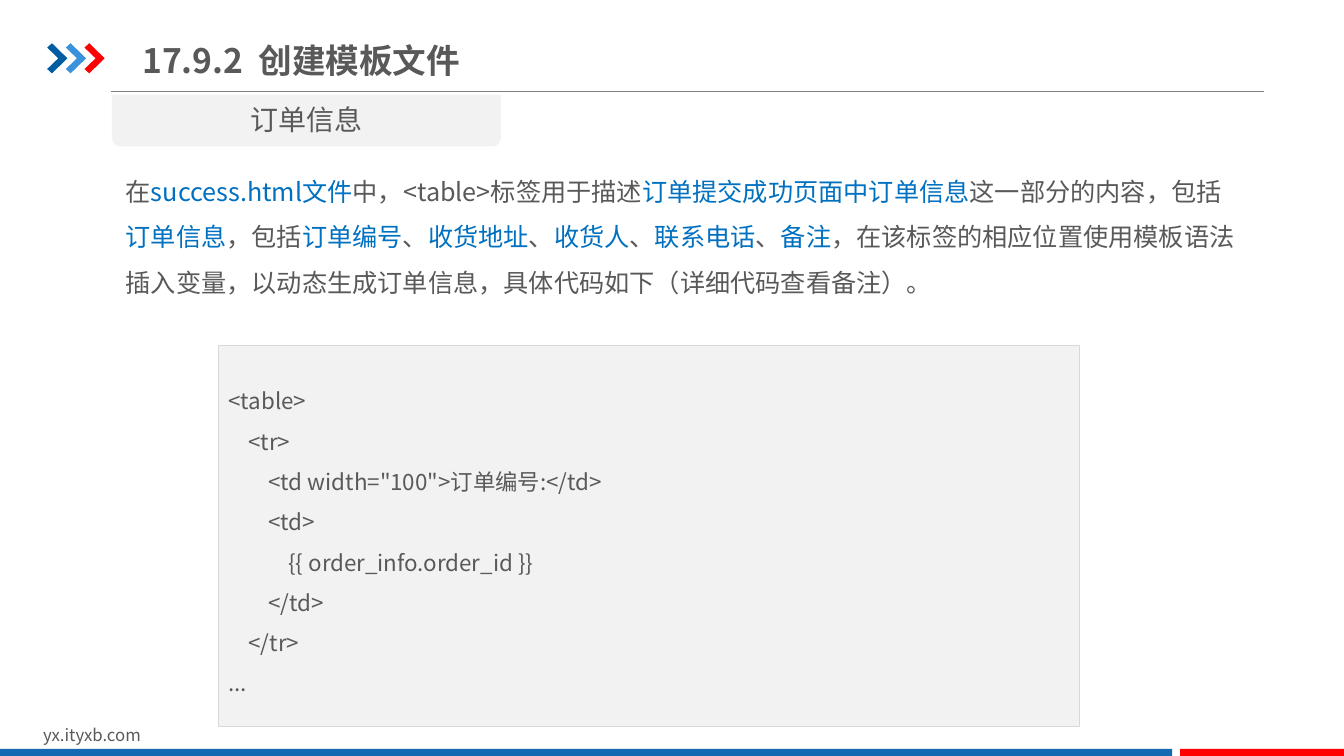
import pptx
import pptx.dml.color
import pptx.enum.shapes
import pptx.enum.text
import pptx.oxml
import pptx.oxml.ns
import pptx.util

Cm = pptx.util.Cm
Pt = pptx.util.Pt
RGBColor = pptx.dml.color.RGBColor
Kind = pptx.enum.shapes.MSO_SHAPE
Align = pptx.enum.text.PP_ALIGN
Anchor = pptx.enum.text.MSO_ANCHOR
qn = pptx.oxml.ns.qn

FONT = "Noto Sans CJK SC"
TEXT = RGBColor(0x59, 0x59, 0x59)
LINK = RGBColor(0x00, 0x70, 0xC0)
PALE = RGBColor(0xF2, 0xF2, 0xF2)
EDGE = RGBColor(0xD9, 0xD9, 0xD9)
RULE = RGBColor(0x80, 0x80, 0x80)
NAVY = RGBColor(0x00, 0x5D, 0xA2)
SKY = RGBColor(0x39, 0x92, 0xDB)
BLUE = RGBColor(0x13, 0x69, 0xB2)
RED = RGBColor(0xFF, 0x00, 0x00)


def write(frame, lines, font, para=None, anchor=Anchor.TOP):
    """Fill a frame; each line is a list of runs, plain and link in turn."""
    frame.word_wrap = True
    frame.auto_size = pptx.enum.text.MSO_AUTO_SIZE.NONE
    frame.vertical_anchor = anchor
    for row, line in enumerate(lines):
        par = frame.add_paragraph() if row else frame.paragraphs[0]
        for key, value in {"alignment": Align.LEFT, **(para or {})}.items():
            setattr(par, key, value)
        for turn, words in enumerate(line):
            run = par.add_run()
            run.text = words
            for key, value in {"name": FONT, **font}.items():
                setattr(run.font, key, value)
            run.font.color.rgb = LINK if turn % 2 else TEXT
            east = pptx.oxml.parse_xml(
                f'<a:ea {pptx.oxml.ns.nsdecls("a")} typeface="{FONT}"/>')
            run.font._element.find(qn("a:latin")).addnext(east)


def paint(shape, fill, line=None):
    shape.shadow.inherit = False
    shape.fill.solid()
    shape.fill.fore_color.rgb = fill
    if line is None:
        shape.line.fill.background()
    else:
        shape.line.color.rgb = line
        shape.line.width = Pt(0.25)


deck = pptx.Presentation()
deck.slide_width = Cm(33.87)
deck.slide_height = Cm(19.05)
slide = deck.slides.add_slide(deck.slide_layouts[5])
shapes = slide.shapes

# Heading with its rule and chevrons
title = shapes.title
place = {"left": Cm(3.33), "top": Cm(0.74), "width": Cm(13.74), "height": Cm(1.55)}
for key, value in place.items():
    setattr(title, key, value)
write(title.text_frame, [["17.9.2  创建模板文件"]],
      {"size": Pt(24), "bold": True}, anchor=Anchor.MIDDLE)

rule = shapes.add_connector(pptx.enum.shapes.MSO_CONNECTOR.STRAIGHT,
                            Cm(2.8), Cm(2.31), Cm(31.86), Cm(2.31))
rule.line.color.rgb = RULE
rule.line.width = Pt(0.75)
rule._element.spPr.append(pptx.oxml.parse_xml(
    f'<a:effectLst {pptx.oxml.ns.nsdecls("a")}/>'))

CHEVRON = [(0, 0.11), (0.12, 0), (0.51, 0.38), (0.12, 0.76), (0, 0.65), (0.28, 0.38)]
for step, fill in enumerate([NAVY, SKY, RED]):
    points = [(Cm(1.19 + 0.47 * step + x), Cm(1.09 + y)) for x, y in CHEVRON]
    outline = shapes.build_freeform(*points[0])
    outline.add_line_segments(points[1:])
    paint(outline.convert_to_shape(), fill)

# Footer
site = shapes.add_textbox(Cm(0.84), Cm(18.14), Cm(8.08), Cm(0.76))
write(site.text_frame, [["yx.ityxb.com"]], {"size": Pt(12)})
for left, width, fill in [(0, 29.54, BLUE), (29.74, 4.13, RED)]:
    bar = shapes.add_shape(Kind.RECTANGLE, Cm(left), Cm(18.87), Cm(width), Cm(0.22))
    paint(bar, fill)

# Section tab
tab = shapes.add_shape(Kind.ROUND_2_SAME_RECTANGLE,
                       Cm(2.82), Cm(2.39), Cm(9.8), Cm(1.3))
tab.rotation = 180
paint(tab, PALE)
label = shapes.add_textbox(Cm(2.82), Cm(2.46), Cm(9.8), Cm(1.12))
write(label.text_frame, [["订单信息"]], {"size": Pt(20)}, {"alignment": Align.CENTER})

# Explanation
BODY = [
    "在", "success.html文件", "中，<table>标签用于描述", "订单提交成功页面中订单信息",
    "这一部分的内容，包括", "订单信息", "，包括", "订单编号", "、", "收货地址",
    "、", "收货人", "、", "联系电话", "、", "备注",
    "，在该标签的相应位置使用模板语法插入变量，以动态生成订单信息，"
    "具体代码如下（详细代码查看备注）。",
]
body = shapes.add_textbox(Cm(2.92), Cm(3.94), Cm(28.45), Cm(3.99))
write(body.text_frame, [BODY], {"size": Pt(18)}, {"line_spacing": 1.5})

# Code
CODE = """<table>
    <tr>
        <td width="100">订单编号:</td>
        <td>
            {{ order_info.order_id }}
        </td>
    </tr>
..."""
panel = shapes.add_shape(Kind.RECTANGLE, Cm(5.51), Cm(8.69), Cm(21.69), Cm(9.6))
paint(panel, PALE, EDGE)
write(panel.text_frame, [[line] for line in CODE.splitlines()],
      {"size": Pt(16)}, {"line_spacing": 1.5}, Anchor.MIDDLE)

deck.save("out.pptx")
